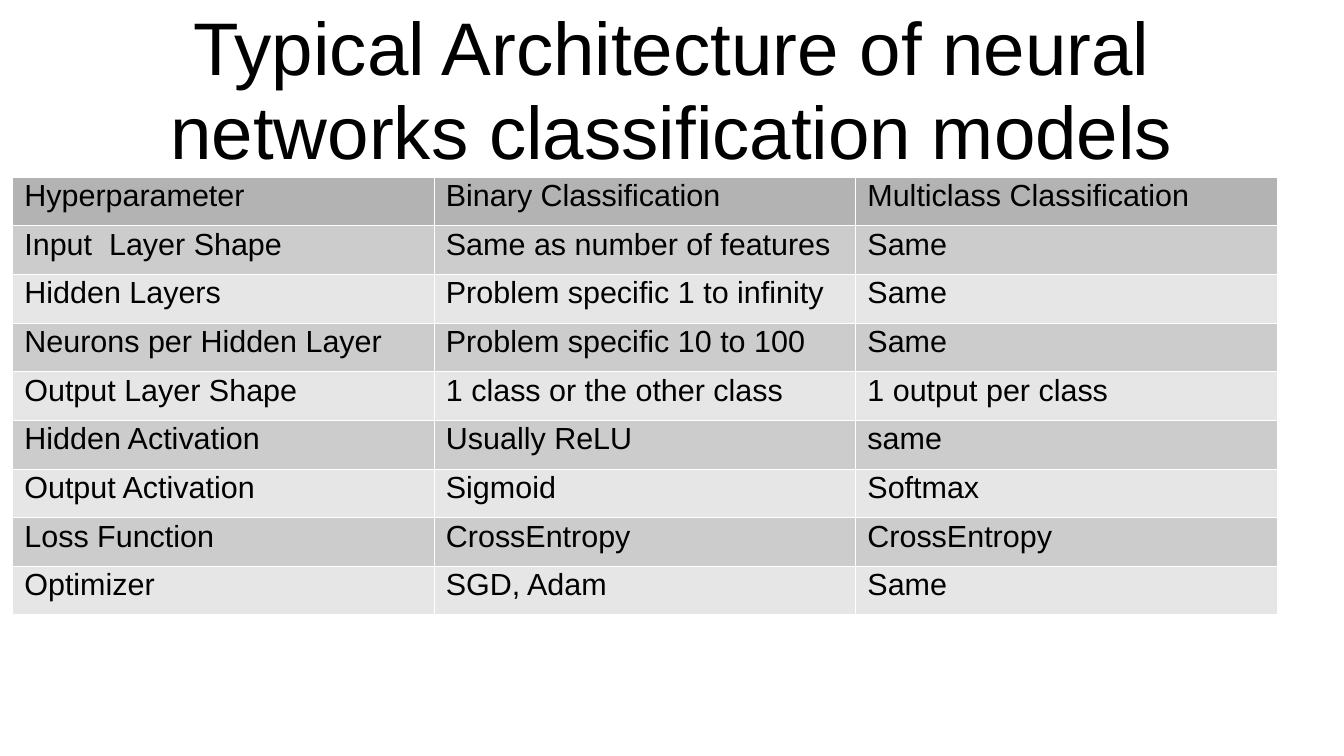
from lxml.etree import SubElement
from pptx import Presentation
from pptx.dml.color import RGBColor
from pptx.enum.text import MSO_ANCHOR, PP_ALIGN
from pptx.oxml.ns import qn
from pptx.util import Pt

COLORS = {
    "text": "000000",
    "header": "B3B3B3",
    "odd": "CCCCCC",
    "even": "E6E6E6",
    "border": "FFFFFF",
}
FONT = "Arial"
TITLE = "Typical Architecture of neural networks classification models"
ROWS = [
    ("Hyperparameter", "Binary Classification", "Multiclass Classification"),
    ("Input  Layer Shape", "Same as number of features", "Same"),
    ("Hidden Layers", "Problem specific 1 to infinity", "Same"),
    ("Neurons per Hidden Layer", "Problem specific 10 to 100", "Same"),
    ("Output Layer Shape", "1 class or the other class", "1 output per class"),
    ("Hidden Activation", "Usually ReLU", "same"),
    ("Output Activation", "Sigmoid", "Softmax"),
    ("Loss Function", "CrossEntropy", "CrossEntropy"),
    ("Optimizer", "SGD, Adam", "Same"),
]
COL_WIDTH, ROW_HEIGHT = 248.88, 28.73


def rgb(name):
    return RGBColor.from_string(COLORS[name])


def write_text(tf, text, *, size, spacing, align=PP_ALIGN.LEFT, color="text"):
    p = tf.paragraphs[0]
    p.alignment = align
    p.line_spacing = spacing
    r = p.add_run()
    r.text = text
    r.font.name = FONT
    r.font.size = Pt(size)
    r.font.color.rgb = rgb(color)


def add_title(slide, text):
    sp = slide.shapes.add_textbox(Pt(39.6), Pt(5.76), Pt(714.24), Pt(97.92))
    tf = sp.text_frame
    tf.word_wrap = True
    tf.vertical_anchor = MSO_ANCHOR.MIDDLE
    tf.margin_left = tf.margin_top = tf.margin_right = tf.margin_bottom = 0
    write_text(tf, text, size=44, spacing=0.93, align=PP_ALIGN.CENTER)


def set_borders(cell, color, width):
    """Line all four sides; the lines must precede the fill in the cell's XML."""
    tc_pr = cell._tc.get_or_add_tcPr()
    for side in ("lnL", "lnR", "lnT", "lnB"):
        ln = SubElement(tc_pr, qn(f"a:{side}"), w=str(Pt(width)))
        fill = SubElement(ln, qn("a:solidFill"))
        SubElement(fill, qn("a:srgbClr"), val=COLORS[color])


def add_banded_table(slide, rows):
    n_rows, n_cols = len(rows), len(rows[0])
    frame = slide.shapes.add_table(
        n_rows, n_cols, Pt(7.2), Pt(104.4),
        Pt(COL_WIDTH * n_cols), Pt(ROW_HEIGHT * n_rows))
    table = frame.table
    for col in table.columns:
        col.width = Pt(COL_WIDTH)
    for i, texts in enumerate(rows):
        table.rows[i].height = Pt(ROW_HEIGHT)
        band = "header" if i == 0 else "odd" if i % 2 else "even"
        for cell, text in zip(table.rows[i].cells, texts):
            cell.margin_left = cell.margin_right = Pt(7.2)
            cell.margin_top = cell.margin_bottom = Pt(3.6)
            set_borders(cell, "border", 0.06)
            cell.fill.solid()
            cell.fill.fore_color.rgb = rgb(band)
            write_text(cell.text_frame, text, size=18, spacing=0.87)


def main():
    prs = Presentation()
    prs.slide_width, prs.slide_height = Pt(793.44), Pt(446.4)
    slide = prs.slides.add_slide(prs.slide_layouts[6])
    add_title(slide, TITLE)
    add_banded_table(slide, ROWS)
    prs.save("out.pptx")


if __name__ == "__main__":
    main()
